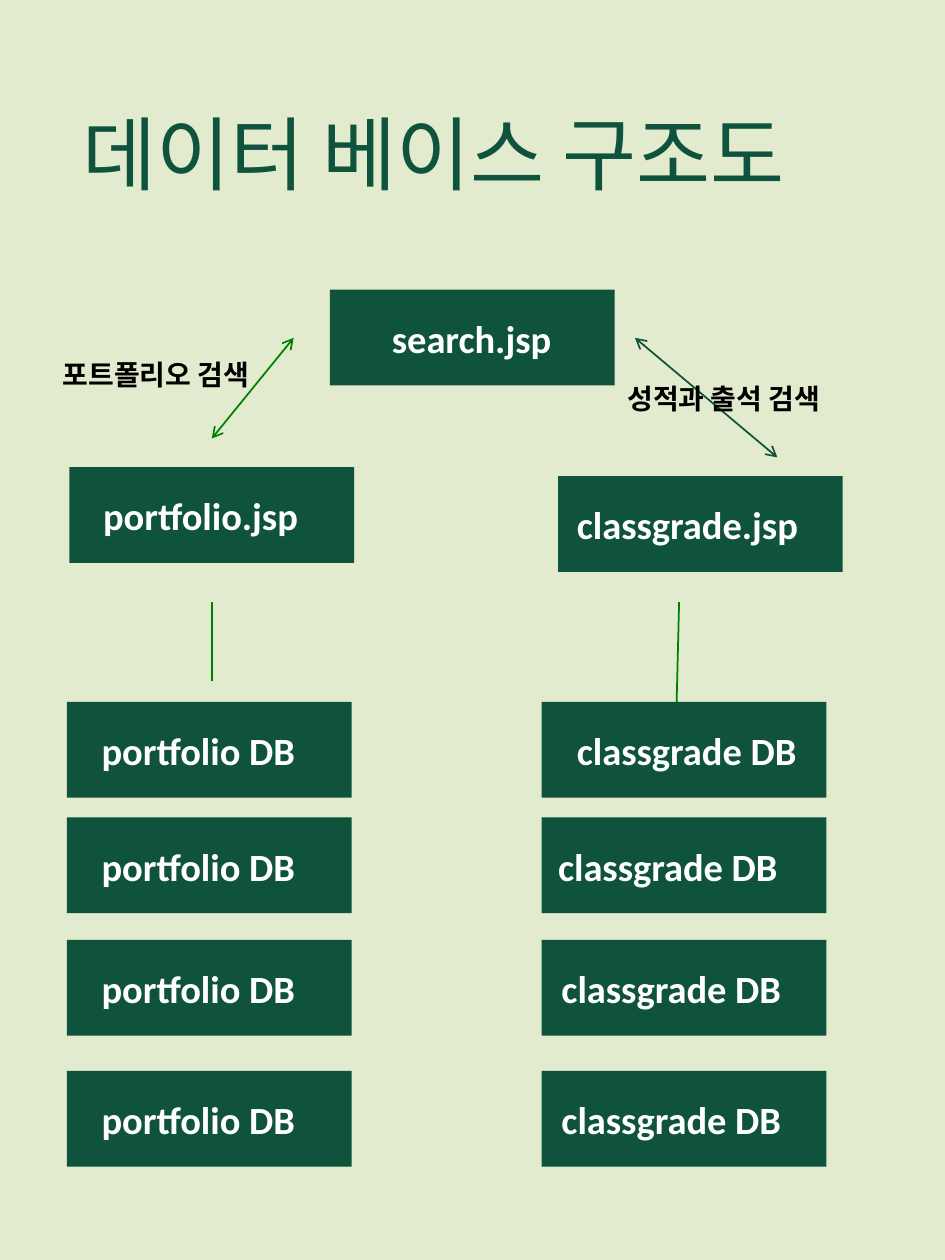
import pptx
import pptx.util
import pptx.dml.color
import pptx.enum.shapes
import pptx.enum.text
import pptx.oxml
import pptx.oxml.ns
from lxml import etree
from pptx.util import Cm, Pt

RGBColor = pptx.dml.color.RGBColor
PALE = RGBColor(0xE2, 0xEB, 0xCE)
DARK = RGBColor(0x0F, 0x53, 0x3D)
GREEN = RGBColor(0x00, 0x80, 0x00)
WHITE = RGBColor(0xFF, 0xFF, 0xFF)
BLACK = RGBColor(0x00, 0x00, 0x00)

LATIN = "Calibri"
KOREAN = "Noto Sans CJK KR"
BOX_W, BOX_H = 5.74, 1.93
TEXT_DROP = 0.38  # from the top of a box to its caption
DB_ROWS = (14.15, 16.48, 18.95, 21.59)
CLASS_CAPTION_LEFTS = (11.38, 11.0, 11.07, 11.07)


def add_child(parent, tag, **attrs):
    return etree.SubElement(parent, pptx.oxml.ns.qn(tag), **attrs)


def write_text(sp, text, size=22, color=WHITE, bold=True, font=LATIN):
    tf = sp.text_frame
    tf.word_wrap = True
    p = tf.paragraphs[0]
    p.alignment = pptx.enum.text.PP_ALIGN.LEFT
    r = p.add_run()
    r.text = text
    r.font.size = Pt(size)
    r.font.bold = bold
    r.font.name = font
    r.font.color.rgb = color
    # Typeface for Hangul
    add_child(r.font._element, "a:ea", typeface=KOREAN)
    return tf


def add_title(s, text):
    sp = s.shapes.title
    sp.left, sp.top, sp.width, sp.height = Cm(1.4), Cm(1.98), Cm(16.26), Cm(2.18)
    tf = write_text(sp, text, size=46, color=DARK, bold=False, font=KOREAN)
    tf.vertical_anchor = pptx.enum.text.MSO_ANCHOR.MIDDLE


def add_label(s, text, left, top, width, height=1.17, **fmt):
    sp = s.shapes.add_textbox(Cm(left), Cm(top), Cm(width), Cm(height))
    tf = write_text(sp, text, **fmt)
    tf.auto_size = pptx.enum.text.MSO_AUTO_SIZE.SHAPE_TO_FIT_TEXT


def add_box(s, text, left, top, text_left, text_width):
    sp = s.shapes.add_shape(pptx.enum.shapes.MSO_SHAPE.RECTANGLE,
                            Cm(left), Cm(top), Cm(BOX_W), Cm(BOX_H))
    sp.shadow.inherit = False
    sp.fill.solid()
    sp.fill.fore_color.rgb = DARK
    sp.line.fill.background()
    add_label(s, text, text_left, top + TEXT_DROP, text_width)


def add_line(s, x1, y1, x2, y2, color=GREEN, arrows=False):
    c = s.shapes.add_connector(pptx.enum.shapes.MSO_CONNECTOR.STRAIGHT,
                               Cm(x1), Cm(y1), Cm(x2), Cm(y2))
    c.line.color.rgb = color
    c.line.width = Pt(1)
    if arrows:
        ln = c.line._get_or_add_ln()
        for end in ("a:headEnd", "a:tailEnd"):
            add_child(ln, end, type="arrow")
    add_child(c._element.spPr, "a:effectLst")


def main():
    prs = pptx.Presentation()
    prs.slide_width, prs.slide_height = Cm(19.05), Cm(25.4)
    s = prs.slides.add_slide(prs.slide_layouts[5])
    s.background.fill.solid()
    s.background.fill.fore_color.rgb = PALE

    add_title(s, "데이터 베이스 구조도")

    # Pages
    add_box(s, "search.jsp", 6.65, 5.84, 7.65, 3.76)
    add_box(s, "portfolio.jsp", 1.4, 9.42, 1.83, 4.83)
    add_box(s, "classgrade.jsp", 11.25, 9.6, 11.38, 5.59)

    # Links between pages and databases
    add_line(s, 5.92, 6.81, 4.27, 8.84, arrows=True)
    add_line(s, 12.8, 6.81, 15.67, 9.22, color=DARK, arrows=True)
    add_line(s, 4.27, 12.14, 4.27, 13.72)
    add_line(s, 13.69, 12.14, 13.64, 14.15)

    # Databases
    for top, caption_left in zip(DB_ROWS, CLASS_CAPTION_LEFTS):
        add_box(s, "portfolio DB", 1.35, top, 1.8, 4.83)
        add_box(s, "classgrade DB", 10.92, top, caption_left, 5.59)

    # Search labels
    for text, left, top in (("포트폴리오 검색", 1.02, 7.09),
                            ("성적과 출석 검색", 12.4, 7.57)):
        add_label(s, text, left, top, 6.45, 0.94, size=16, color=BLACK)

    prs.save("out.pptx")


if __name__ == "__main__":
    main()
